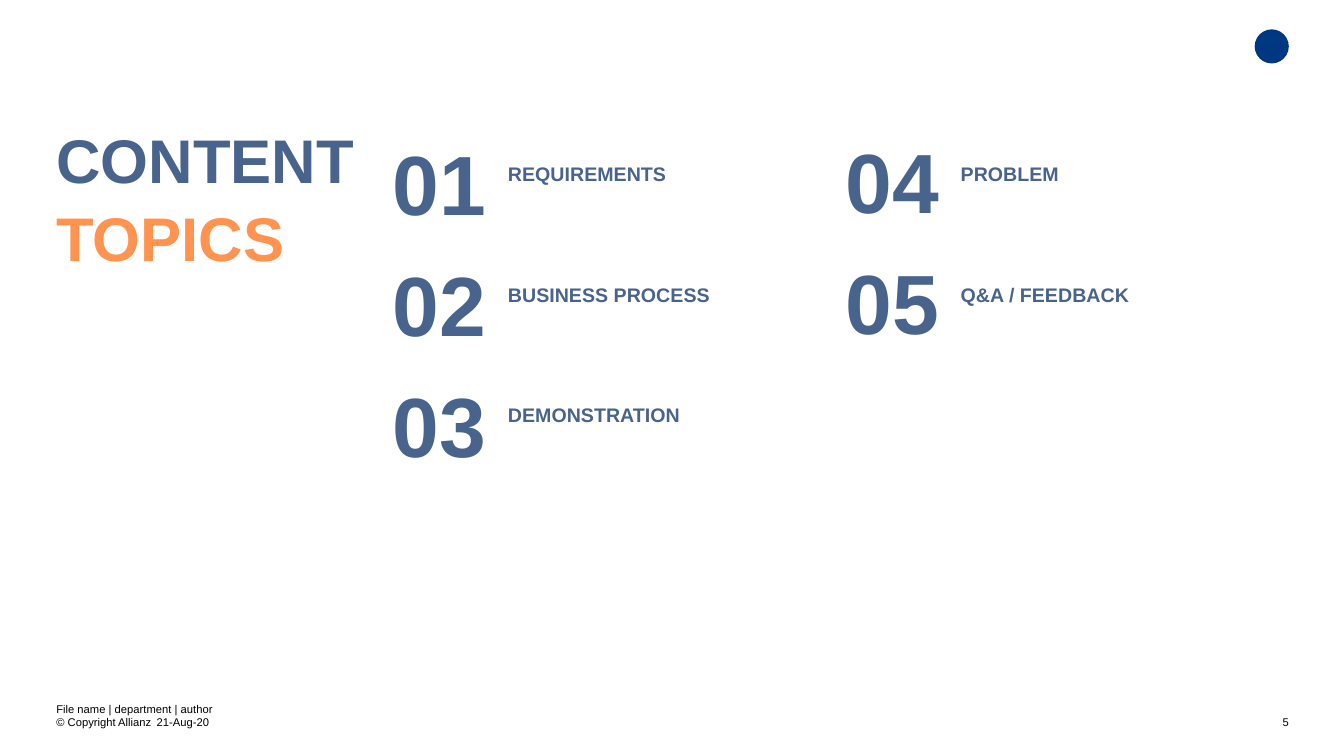
from pptx import Presentation
from pptx.dml.color import RGBColor
from pptx.enum.shapes import MSO_SHAPE
from pptx.enum.text import MSO_ANCHOR, MSO_AUTO_SIZE, PP_ALIGN
from pptx.util import Cm, Pt

BLUE = RGBColor(0x49, 0x64, 0x8C)
ORANGE = RGBColor(0xFF, 0x93, 0x4F)
NAVY = RGBColor(0x00, 0x37, 0x81)
BLACK = RGBColor(0x00, 0x00, 0x00)
FONT = "Arial"

# Content
TITLE = [("CONTENT ", BLUE), ("TOPICS", ORANGE)]
TOPICS = ["REQUIREMENTS", "BUSINESS PROCESS", "DEMONSTRATION",
          "PROBLEM", "Q&A / FEEDBACK"]
FOOTERS = [  # text, left, top, width, height in cm, alignment
    ("File name | department | author", 1.42, 17.7, 15.57, 0.35, PP_ALIGN.LEFT),
    ("© Copyright Allianz", 1.42, 18.03, 2.5, 0.33, PP_ALIGN.LEFT),
    ("21-Aug-20", 3.95, 18.03, 3.63, 0.33, PP_ALIGN.LEFT),
    ("5", 31.06, 18.03, 1.42, 1.02, PP_ALIGN.RIGHT),
]

# Topic grid, filled column by column
ROWS, TOPICS_PER_COLUMN = 4, 3
NUMBER_WIDTH, LABEL_WIDTH, ROW_HEIGHT = 2.9, 8.51, 3.04
NUMBER_TOP_MARGINS = [0.51, 0.41]


def set_margins(box, left=0, top=0, right=0, bottom=0):
    box.margin_left, box.margin_top = Cm(left), Cm(top)
    box.margin_right, box.margin_bottom = Cm(right), Cm(bottom)


def write(p, text, size, color, bold=False):
    p.text = text
    p.font.name, p.font.size, p.font.bold = FONT, Pt(size), bold
    p.font.color.rgb = color


def fill_cell(cell, text, size):
    cell.vertical_anchor = MSO_ANCHOR.MIDDLE
    p = cell.text_frame.paragraphs[0]
    p.line_spacing = 1.05
    write(p, text, size, BLUE, bold=True)


prs = Presentation()
prs.slide_width, prs.slide_height = Cm(33.87), Cm(19.05)
s = prs.slides.add_slide(prs.slide_layouts[5])

# Title
title = s.shapes.title
title.left, title.top, title.width, title.height = Cm(1.42), Cm(2.13), Cm(8.48), Cm(12.19)
tf = title.text_frame
tf.word_wrap, tf.auto_size = True, MSO_AUTO_SIZE.NONE
tf.vertical_anchor = MSO_ANCHOR.TOP
set_margins(tf, top=0.85)
p = tf.paragraphs[0]
p.alignment, p.line_spacing = PP_ALIGN.LEFT, 1.05
p.font.name, p.font.size, p.font.bold = FONT, Pt(44), True
for text, color in TITLE:
    r = p.add_run()
    r.text = text
    r.font.color.rgb = color

# Topic table
widths = [NUMBER_WIDTH, LABEL_WIDTH] * 2
table = s.shapes.add_table(ROWS, len(widths), Cm(9.9), Cm(2.87),
                           Cm(sum(widths)), Cm(ROWS * ROW_HEIGHT)).table
table.first_row = table.horz_banding = False
for column, width in zip(table.columns, widths):
    column.width = Cm(width)
for row in table.rows:
    row.height = Cm(ROW_HEIGHT)
for cell in table.iter_cells():
    cell.fill.background()
for i, topic in enumerate(TOPICS):
    group, row = divmod(i, TOPICS_PER_COLUMN)
    number, label = table.cell(row, 2 * group), table.cell(row, 2 * group + 1)
    set_margins(number, top=NUMBER_TOP_MARGINS[group])
    set_margins(label, top=0.13, right=0.25, bottom=0.13)
    fill_cell(number, f"{i + 1:02d}", 60)
    fill_cell(label, topic, 14)

# Round mark at the top right
mark = s.shapes.add_shape(MSO_SHAPE.OVAL, Cm(31.62), Cm(0.74), Cm(0.86), Cm(0.86))
mark.shadow.inherit = False
mark.fill.solid()
mark.fill.fore_color.rgb = NAVY
mark.line.fill.background()

# Footer
for text, left, top, width, height, align in FOOTERS:
    tf = s.shapes.add_textbox(Cm(left), Cm(top), Cm(width), Cm(height)).text_frame
    tf.word_wrap = True
    set_margins(tf)
    p = tf.paragraphs[0]
    p.alignment = align
    write(p, text, 8, BLACK)

prs.save("out.pptx")
